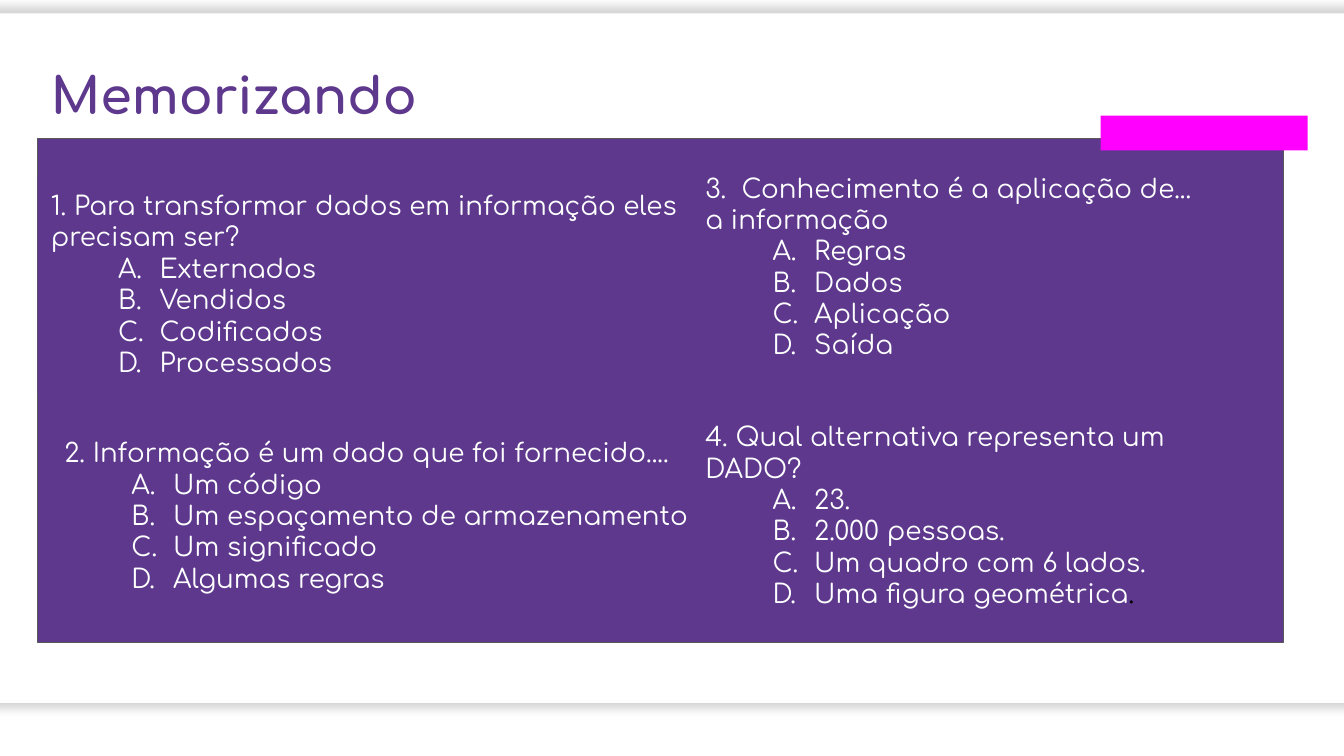
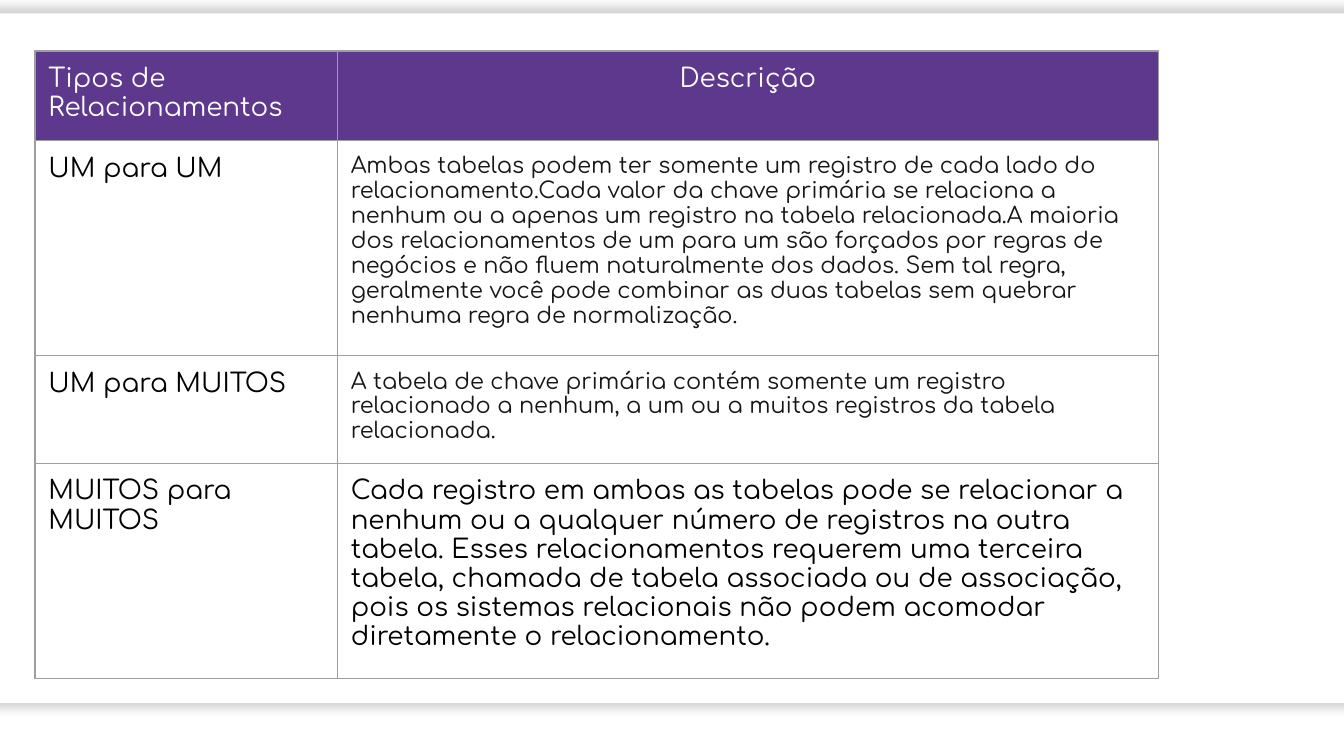
import pptx
import pptx.dml.color
import pptx.enum.shapes
import pptx.enum.text
import pptx.oxml
import pptx.oxml.ns
import pptx.util
from lxml import etree

Inches = pptx.util.Inches
Pt = pptx.util.Pt
ALIGN = pptx.enum.text.PP_ALIGN

THEME = {
    "font": "Comfortaa",
    "purple": "5D388D",
    "magenta": "FF00FF",
    "white": "FFFFFF",
    "black": "000000",
    "ink": "161616",
    "edge": "595959",
    "grid": "9E9E9E",
    "title": 27,
    "body": 14,
    "small": 12,
    "rule": 0.75,
}

PAGE_WIDTH = Inches(10)
PAGE_HEIGHT = PAGE_WIDTH * 9 // 16
PANEL = (0, 0.1, 10, 5.13)
QUIZ_CARD = (0.28, 1.03, 9.27, 3.75)
ACCENT = (8.19, 0.86, 1.54, 0.26)
TITLE = ("Memorizando", (0.28, 0.38, 9.45, 0.66))
OPTION_INDENT = (0.81, -0.31)

QUESTIONS = [
    {
        "at": (0.28, 1.31, 5.39, 1.62), "inset": 0.1, "fill": "purple",
        "ask": ["1. Para transformar dados em informação eles precisam ser?"],
        "options": ["Externados", "Vendidos", "Codificados", "Processados"],
    },
    {
        "at": (0.38, 3.2, 5.19, 1.28), "inset": 0.05, "fill": "purple",
        "ask": ["2. Informação é um dado que foi fornecido...."],
        "options": ["Um código", "Um espaçamento de armazenamento",
                    "Um significado", "Algumas regras"],
    },
    {
        "at": (5.15, 3.08, 4.26, 1.52), "inset": 0.05, "fill": None,
        "ask": ["4. Qual alternativa representa um DADO?"],
        "options": ["23.", "2.000 pessoas.", "Um quadro com 6 lados.",
                    "Uma figura geométrica"],
        "ending": ".",
    },
    {
        "at": (5.15, 1.23, 4.05, 1.52), "inset": 0.05, "fill": None,
        "ask": ["3.  Conhecimento é a aplicação de...", "a informação"],
        "options": ["Regras", "Dados", "Aplicação", "Saída"],
    },
]

TABLE_ORIGIN = (0.26, 0.38)
COLUMN_WIDTHS = [2.25, 6.11]
ROW_HEIGHTS = [0.66, 1.6, 0.8, 1.6]
HEADINGS = ["Tipos de Relacionamentos", "Descrição"]
RELATIONS = [
    ("UM para UM",
     "Ambas tabelas podem ter somente um registro de cada lado do "
     "relacionamento.Cada valor da chave primária se relaciona a nenhum ou a "
     "apenas um registro na tabela relacionada.A maioria dos relacionamentos "
     "de um para um são forçados por regras de negócios e não fluem "
     "naturalmente dos dados. Sem tal regra, geralmente você pode combinar as "
     "duas tabelas sem quebrar nenhuma regra de normalização.",
     {"size": "small", "color_name": "ink", "space_after": Pt(12)}),
    ("UM para MUITOS",
     "A tabela de chave primária contém somente um registro relacionado a "
     "nenhum, a um ou a muitos registros da tabela relacionada.",
     {"size": "small", "color_name": "ink"}),
    ("MUITOS para MUITOS",
     "Cada registro em ambas as tabelas pode se relacionar a nenhum ou a "
     "qualquer número de registros na outra tabela. Esses relacionamentos "
     "requerem uma terceira tabela, chamada de tabela associada ou de "
     "associação, pois os sistemas relacionais não podem acomodar diretamente "
     "o relacionamento.",
     {}),
]


def color(name):
    return pptx.dml.color.RGBColor.from_string(THEME[name])


def apply(target, values):
    for name, value in values.items():
        setattr(target, name, value)


def paint(shape, name):
    shape.fill.solid()
    shape.fill.fore_color.rgb = color(name)


def child(parent, tag, **attributes):
    return etree.SubElement(parent, pptx.oxml.ns.qn(tag), attributes)


def add_span(para, text, size="body", color_name="white", bold=None):
    span = para.add_run()
    span.text = text
    apply(span.font, {"name": THEME["font"], "size": Pt(THEME[size]), "bold": bold})
    span.font.color.rgb = color(color_name)


def add_block(page, at, fill, edge=None):
    block = page.shapes.add_shape(
        pptx.enum.shapes.MSO_SHAPE.RECTANGLE, *map(Inches, at))
    block.shadow.inherit = False
    paint(block, fill)
    if edge:
        block.line.color.rgb = color(edge)
        block.line.width = Pt(THEME["rule"])
    else:
        block.line.fill.background()
    return block


def add_page(deck):
    page = deck.slides.add_slide(deck.slide_layouts[6])
    panel = add_block(page, PANEL, "white")
    effects = panel.element.spPr.find(pptx.oxml.ns.qn("a:effectLst"))
    shadow = child(effects, "a:outerShdw", blurRad=str(Pt(5)), sx="102000",
                   sy="102000", algn="ctr", rotWithShape="0")
    shade = child(shadow, "a:srgbClr", val=THEME["black"])
    child(shade, "a:alpha", val="16000")
    return page


def add_text_box(page, at, inset, fill=None):
    box = page.shapes.add_textbox(*map(Inches, at))
    if fill:
        paint(box, fill)
    apply(box.text_frame, {
        "word_wrap": True,
        "margin_left": Inches(0.1), "margin_right": Inches(0.1),
        "margin_top": Inches(inset), "margin_bottom": Inches(inset),
    })
    return box.text_frame


def letter_option(para):
    left, hanging = OPTION_INDENT
    properties = para._p.get_or_add_pPr()
    properties.set("marL", str(Inches(left)))
    properties.set("indent", str(Inches(hanging)))
    bullet_color = child(properties, "a:buClr")
    child(bullet_color, "a:srgbClr", val=THEME["white"])
    child(properties, "a:buFont", typeface=THEME["font"])
    child(properties, "a:buAutoNum", type="alphaUcPeriod")


def add_question(page, question):
    frame = add_text_box(page, question["at"], question["inset"], question["fill"])
    lines = question["ask"] + question["options"]
    for index, text in enumerate(lines):
        para = frame.add_paragraph() if index else frame.paragraphs[0]
        if index >= len(question["ask"]):
            letter_option(para)
        add_span(para, text)
    if "ending" in question:
        add_span(para, question["ending"], color_name="black")


def build_quiz(deck):
    page = add_page(deck)
    add_block(page, QUIZ_CARD, "purple", "edge")
    text, at = TITLE
    frame = add_text_box(page, at, 0.1)
    add_span(frame.paragraphs[0], text, "title", "purple", True)
    for question in QUESTIONS:
        add_question(page, question)
    add_block(page, ACCENT, "magenta")


def outline(cell):
    properties = cell._tc.get_or_add_tcPr()
    for position, side in enumerate(("a:lnL", "a:lnR", "a:lnT", "a:lnB")):
        line = child(properties, side, w=str(Pt(THEME["rule"])))
        child(child(line, "a:solidFill"), "a:srgbClr", val=THEME["grid"])
        properties.insert(position, line)


def fill_cell(cell, text, size="body", color_name="black", fill=None, **layout):
    apply(cell, {"margin_" + side: Inches(0.1)
                 for side in ("left", "right", "top", "bottom")})
    if fill:
        paint(cell, fill)
    else:
        cell.fill.background()
    outline(cell)
    para = cell.text_frame.paragraphs[0]
    apply(para, layout)
    add_span(para, text, size, color_name)


def build_relations(deck):
    page = add_page(deck)
    size = (sum(COLUMN_WIDTHS), sum(ROW_HEIGHTS))
    table = page.shapes.add_table(
        len(ROW_HEIGHTS), len(COLUMN_WIDTHS),
        *map(Inches, TABLE_ORIGIN + size)).table
    apply(table, {"first_row": False, "horz_banding": False})
    for column, width in zip(table.columns, COLUMN_WIDTHS):
        column.width = Inches(width)
    for row, height in zip(table.rows, ROW_HEIGHTS):
        row.height = Inches(height)
    for index, (text, align) in enumerate(zip(HEADINGS, (ALIGN.LEFT, ALIGN.CENTER))):
        fill_cell(table.cell(0, index), text, color_name="white", fill="purple",
                  alignment=align)
    for index, (kind, description, style) in enumerate(RELATIONS, 1):
        fill_cell(table.cell(index, 0), kind)
        fill_cell(table.cell(index, 1), description, **style)


def main():
    deck = pptx.Presentation()
    apply(deck, {"slide_width": PAGE_WIDTH, "slide_height": PAGE_HEIGHT})
    build_quiz(deck)
    build_relations(deck)
    deck.save("out.pptx")


if __name__ == "__main__":
    main()
